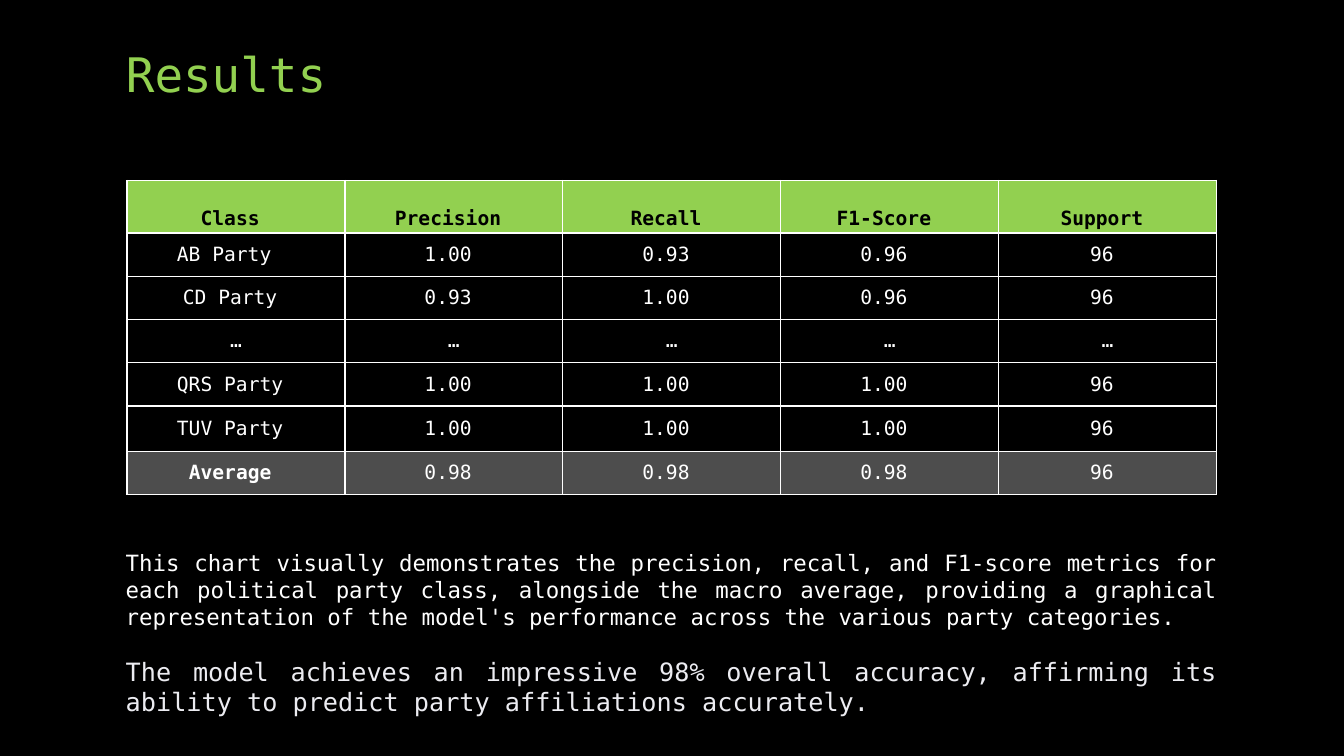
from lxml import etree
from pptx import Presentation
from pptx.dml.color import RGBColor
from pptx.enum.text import MSO_ANCHOR, MSO_AUTO_SIZE, PP_ALIGN
from pptx.oxml.ns import qn
from pptx.util import Cm, Pt

BLACK = RGBColor(0x00, 0x00, 0x00)
WHITE = RGBColor(0xFF, 0xFF, 0xFF)
GREEN = RGBColor(0x92, 0xD0, 0x50)
GREY = RGBColor(0x4D, 0x4D, 0x4D)
PALE = RGBColor(0xEC, 0xEC, 0xF1)
FONT = "DejaVu Sans Mono"
CENTER, LEFT, JUSTIFY = PP_ALIGN.CENTER, PP_ALIGN.LEFT, PP_ALIGN.JUSTIFY
MIDDLE, BOTTOM, TOP = MSO_ANCHOR.MIDDLE, MSO_ANCHOR.BOTTOM, MSO_ANCHOR.TOP
NO_AUTOFIT = MSO_AUTO_SIZE.NONE

RESULTS = [
    ["Class", "Precision", "Recall", "F1-Score", "Support"],
    ["AB Party", "1.00", "0.93", "0.96", "96"],
    ["CD Party", "0.93", "1.00", "0.96", "96"],
    ["…"] * 5,
    ["QRS Party", "1.00", "1.00", "1.00", "96"],
    ["TUV Party", "1.00", "1.00", "1.00", "96"],
    ["Average", "0.98", "0.98", "0.98", "96"],
]
ROW_HEIGHTS = [1.3, 1.09, 1.09, 1.09, 1.09, 1.14, 1.09]
# Right insets that push centred text a little to the left
RIGHT_INSETS = {"…": 0.18, "AB Party": 0.77}
RIGHT_INSET = 0.47

NOTES = [
    ("This chart visually demonstrates the precision, recall, and F1-score "
     "metrics for each political party class, alongside the macro average, "
     "providing a graphical representation of the model's performance across "
     "the various party categories.", 16, WHITE, 0),
    ("The model achieves an impressive 98% overall accuracy, affirming its "
     "ability to predict party affiliations accurately.", 18, PALE, 18.5),
]


def apply(obj, values):
    for name, value in values.items():
        setattr(obj, name, value)


def write(p, text, size, color, align, bold=False):
    p.alignment = align
    r = p.add_run()
    r.text = text
    apply(r.font, {"name": FONT, "size": Pt(size), "bold": bold})
    r.font.color.rgb = color


def add_borders(cell, color, width):
    tc_pr = cell._tc.get_or_add_tcPr()
    for i, side in enumerate(("lnL", "lnR", "lnT", "lnB")):
        ln = etree.Element(qn(f"a:{side}"), w=str(Pt(width)))
        fill = etree.SubElement(ln, qn("a:solidFill"))
        etree.SubElement(fill, qn("a:srgbClr"), val=str(color))
        tc_pr.insert(i, ln)


def add_title(s, left, top, width, height):
    sp = s.shapes.title
    apply(sp, {"left": Cm(left), "top": Cm(top),
               "width": Cm(width), "height": Cm(height)})
    tf = sp.text_frame
    apply(tf, {"vertical_anchor": BOTTOM, "word_wrap": True,
               "auto_size": NO_AUTOFIT})
    p = tf.paragraphs[0]
    p.line_spacing = 0.9
    write(p, "Results", 34, GREEN, LEFT)


def add_results(s, left, top, width):
    columns = len(RESULTS[0])
    frame = s.shapes.add_table(len(RESULTS), columns, Cm(left), Cm(top),
                               Cm(width), Cm(sum(ROW_HEIGHTS)))
    table = frame.table
    apply(table, {"first_row": False, "horz_banding": False})
    for column in table.columns:
        column.width = Cm(width / columns)

    for i, values in enumerate(RESULTS):
        table.rows[i].height = Cm(ROW_HEIGHTS[i])
        header, average = i == 0, i == len(RESULTS) - 1
        for j, text in enumerate(values):
            cell = table.cell(i, j)
            apply(cell, {
                "vertical_anchor": MIDDLE,
                "margin_left": Cm(0.18),
                "margin_right": Cm(RIGHT_INSETS.get(text, RIGHT_INSET)),
                "margin_top": Cm(0.08),
                "margin_bottom": Cm(0.08),
            })
            cell.fill.solid()
            cell.fill.fore_color.rgb = (
                GREEN if header else GREY if average else BLACK)
            add_borders(cell, WHITE, 1)
            p = cell.text_frame.paragraphs[0]
            if header:
                p.line_spacing = 2.0
            write(p, text, 14, BLACK if header else WHITE, CENTER,
                  bold=header or (average and j == 0))


def add_notes(s, left, top, width, height):
    sp = s.shapes.add_textbox(Cm(left), Cm(top), Cm(width), Cm(height))
    tf = sp.text_frame
    apply(tf, {"word_wrap": True, "vertical_anchor": TOP})
    for i, (text, size, color, gap) in enumerate(NOTES):
        p = tf.add_paragraph() if i else tf.paragraphs[0]
        p.space_before = Pt(gap)
        write(p, text, size, color, JUSTIFY)


def main():
    prs = Presentation()
    apply(prs, {"slide_width": Cm(33.87), "slide_height": Cm(19.05)})
    s = prs.slides.add_slide(prs.slide_layouts[5])
    s.background.fill.solid()
    s.background.fill.fore_color.rgb = BLACK

    # Heading, table of metrics, conclusions
    add_title(s, 2.92, 0.86, 25.4, 1.85)
    add_results(s, 3.2, 4.55, 27.46)
    add_notes(s, 2.92, 13.72, 27.99, 4.8)

    prs.save("out.pptx")


if __name__ == "__main__":
    main()
